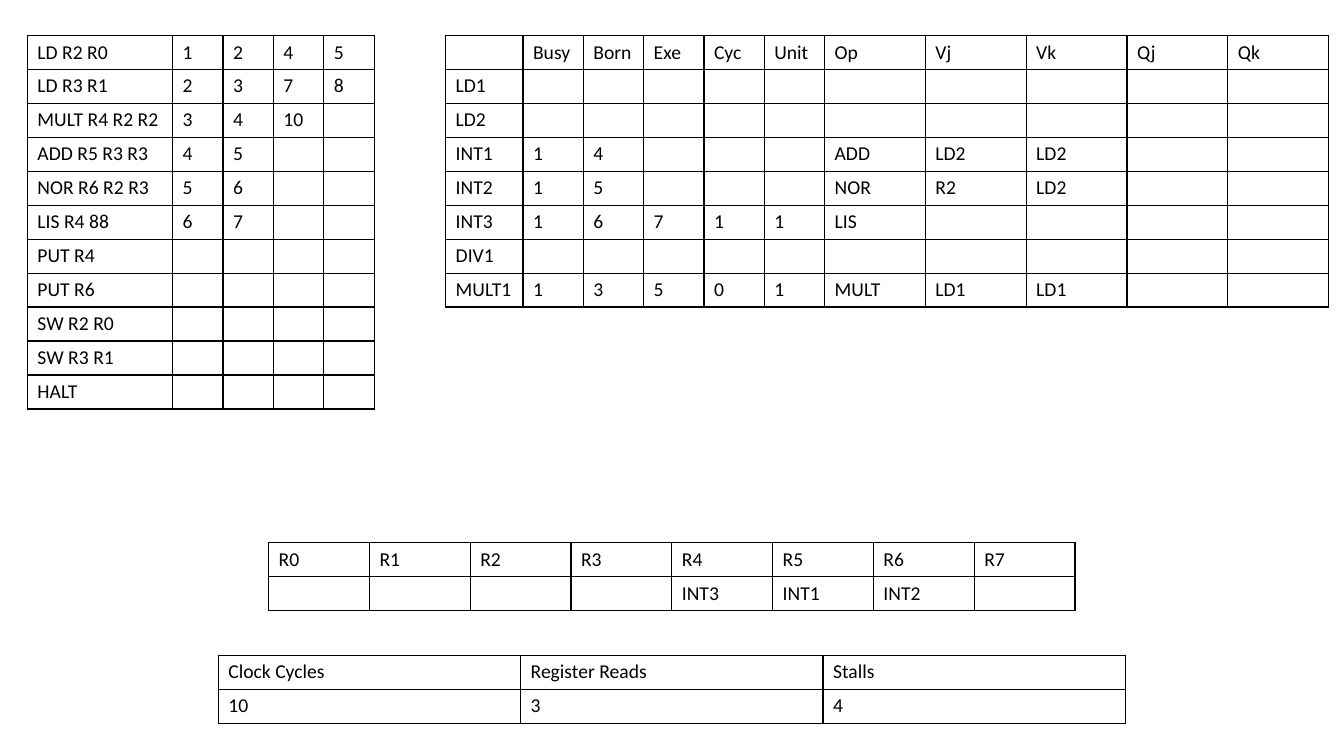
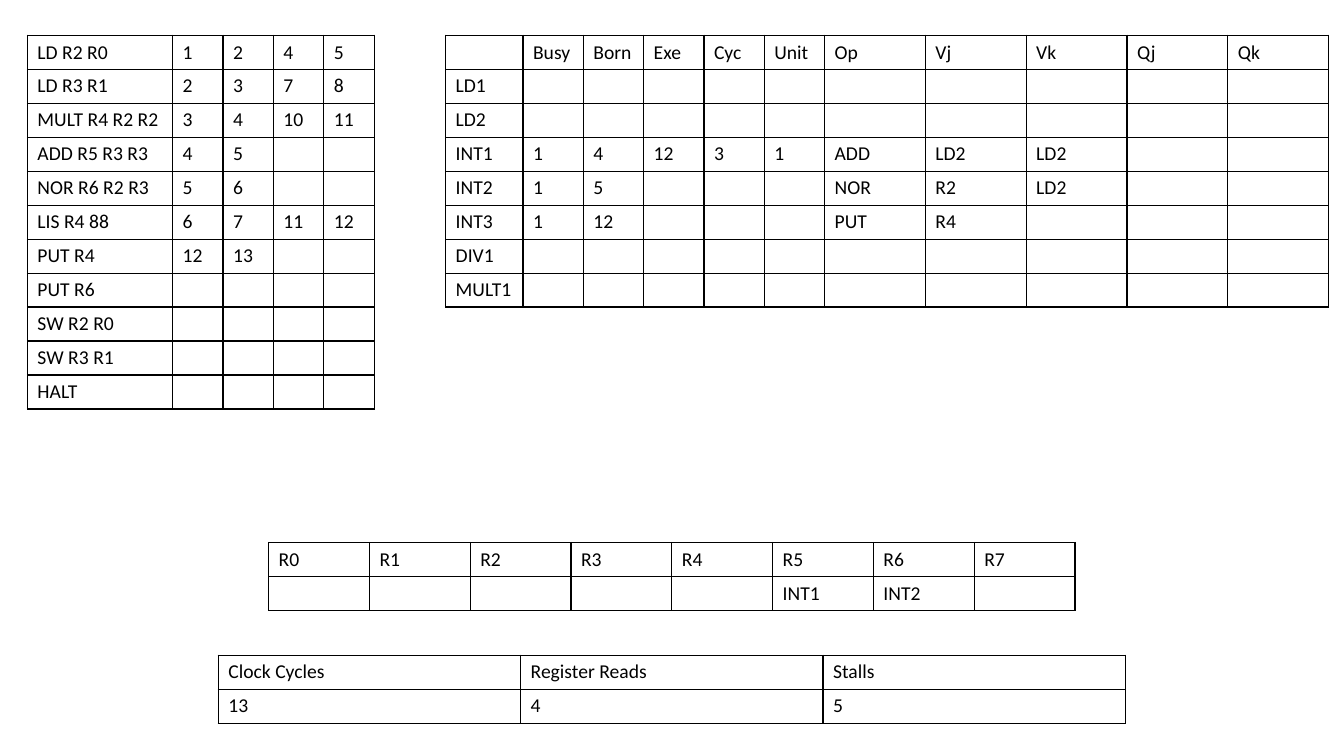
from dataclasses import dataclass

from lxml import etree
from pptx import Presentation
from pptx import util as u
from pptx.dml.color import RGBColor
from pptx.oxml import ns


@dataclass(frozen=True)
class Theme:
    ink: str = "000000"
    font: str = "Calibri"
    size: int = 14
    border: int = 1
    row_height: float = 0.85


class Board:
    """Holds the style and the current slide."""

    def __init__(self, deck, theme):
        self.deck, self.theme = deck, theme
        self.page = None

    def new_page(self):
        self.page = self.deck.slides.add_slide(self.deck.slide_layouts[6])

    def table(self, left, top, widths, rows):
        """Add a ruled table; short rows are filled up with empty cells."""
        height = self.theme.row_height
        frame = self.page.shapes.add_table(
            len(rows), len(widths), u.Cm(left), u.Cm(top),
            u.Cm(sum(widths)), u.Cm(height * len(rows)))
        grid = frame.table
        for name, value in {"first_row": False, "horz_banding": False}.items():
            setattr(grid, name, value)
        for column, width in zip(grid.columns, widths):
            column.width = u.Cm(width)
        for r, row in enumerate(rows):
            grid.rows[r].height = u.Cm(height)
            for c in range(len(widths)):
                self.cell(grid.cell(r, c), row[c] if c < len(row) else "")

    def cell(self, cell, words):
        self.borders(cell)
        cell.fill.background()
        para = cell.text_frame.paragraphs[0]
        if not words:
            # An empty cell needs the type size too, or its row grows
            end = para._p.get_or_add_endParaRPr()
            end.set("sz", str(self.theme.size * 100))
            return
        span = para.add_run()
        span.text = words
        formats = {"name": self.theme.font, "size": u.Pt(self.theme.size)}
        for name, value in formats.items():
            setattr(span.font, name, value)
        span.font.color.rgb = RGBColor.from_string(self.theme.ink)

    def borders(self, cell):
        properties = cell._tc.get_or_add_tcPr()
        for side in ("a:lnL", "a:lnR", "a:lnT", "a:lnB"):
            line = etree.SubElement(properties, ns.qn(side),
                                    w=str(u.Pt(self.theme.border)))
            fill = etree.SubElement(line, ns.qn("a:solidFill"))
            etree.SubElement(fill, ns.qn("a:srgbClr"), val=self.theme.ink)


# Wording shared by the slides
PROGRAM = ["LD R2 R0", "LD R3 R1", "MULT R4 R2 R2", "ADD R5 R3 R3",
           "NOR R6 R2 R3", "LIS R4 88", "PUT R4", "PUT R6", "SW R2 R0",
           "SW R3 R1", "HALT"]
STATION_HEADS = ["", "Busy", "Born", "Exe", "Cyc", "Unit", "Op",
                 "Vj", "Vk", "Qj", "Qk"]
STATIONS = ["LD1", "LD2", "INT1", "INT2", "INT3", "DIV1", "MULT1"]
REGISTERS = [f"R{n}" for n in range(8)]
COUNTERS = ["Clock Cycles", "Register Reads", "Stalls"]

# Machine state on each slide; bars part the cells
STATES = [
    {
        "timing": ["1|2|4|5", "2|3|7|8", "3|4|10", "4|5", "5|6", "6|7"],
        "stations": {"INT1": "1|4||||ADD|LD2|LD2",
                     "INT2": "1|5||||NOR|R2|LD2",
                     "INT3": "1|6|7|1|1|LIS",
                     "MULT1": "1|3|5|0|1|MULT|LD1|LD1"},
        "registers": {"R4": "INT3", "R5": "INT1", "R6": "INT2"},
        "counters": ["10", "3", "4"],
    },
    {
        "timing": ["1|2|4|5", "2|3|7|8", "3|4|10|11", "4|5", "5|6",
                   "6|7|11|12", "12|13"],
        "stations": {"INT1": "1|4|12|3|1|ADD|LD2|LD2",
                     "INT2": "1|5||||NOR|R2|LD2",
                     "INT3": "1|12||||PUT|R4"},
        "registers": {"R5": "INT1", "R6": "INT2"},
        "counters": ["13", "4", "5"],
    },
]


def draw_state(board, state):
    board.new_page()

    # Instruction timing
    timing = dict(zip(PROGRAM, state["timing"]))
    board.table(0.69, 0.89, [3.66] + [1.27] * 4,
                [[step] + timing.get(step, "").split("|") for step in PROGRAM])

    # Reservation stations
    busy = state["stations"]
    board.table(11.23, 0.89, [1.95] + [1.52] * 5 + [2.54] * 5,
                [STATION_HEADS] + [[station] + busy.get(station, "").split("|")
                                   for station in STATIONS])

    # Register status
    owners = [state["registers"].get(name, "") for name in REGISTERS]
    board.table(6.77, 13.67, [2.54] * 8, [REGISTERS, owners])

    # Counters
    board.table(5.5, 16.51, [7.62] * 3, [COUNTERS, state["counters"]])


deck = Presentation()
for name, value in {"slide_width": 33.87, "slide_height": 19.05}.items():
    setattr(deck, name, u.Cm(value))
board = Board(deck, Theme())
for state in STATES:
    draw_state(board, state)
deck.save("out.pptx")
